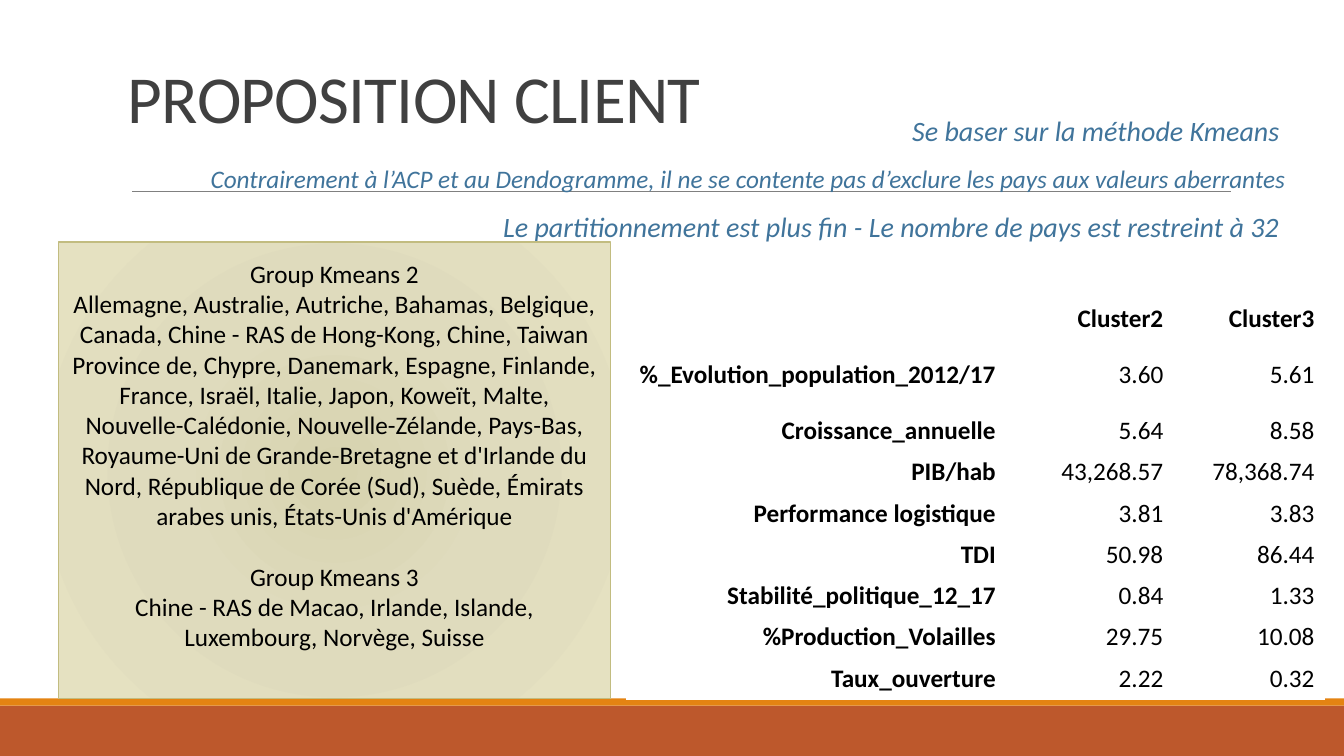
from lxml.etree import SubElement
from pptx import Presentation
from pptx.dml.color import RGBColor
from pptx.enum.shapes import MSO_CONNECTOR, MSO_SHAPE
from pptx.enum.text import MSO_ANCHOR, MSO_AUTO_SIZE, PP_ALIGN
from pptx.oxml import parse_xml
from pptx.oxml.ns import nsdecls, qn
from pptx.util import Cm, Pt

TITLE = "PROPOSITION CLIENT"
ARGUMENTS = [
    ("Se baser sur la méthode Kmeans ", 20),
    ("Contrairement à l’ACP et au Dendogramme, il ne se contente pas "
     "d’exclure les pays aux valeurs aberrantes", 18),
    ("Le partitionnement est plus fin - Le nombre de pays est restreint à 32 ", 20),
]
GROUPS = [
    ("Group Kmeans 2",
     "Allemagne, Australie, Autriche, Bahamas, Belgique, Canada, "
     "Chine - RAS de Hong-Kong, Chine, Taiwan Province de, Chypre, Danemark, "
     "Espagne, Finlande, France, Israël, Italie, Japon, Koweït, Malte, "
     "Nouvelle-Calédonie, Nouvelle-Zélande, Pays-Bas, "
     "Royaume-Uni de Grande-Bretagne et d'Irlande du Nord, "
     "République de Corée (Sud), Suède, Émirats arabes unis, "
     "États-Unis d'Amérique"),
    ("Group Kmeans 3",
     "Chine - RAS de Macao, Irlande, Islande, Luxembourg, Norvège, Suisse"),
]
CLUSTERS = [
    ("", "Cluster2", "Cluster3"),
    ("%_Evolution_population_2012/17", "3.60", "5.61"),
    ("Croissance_annuelle", "5.64", "8.58"),
    ("PIB/hab", "43,268.57", "78,368.74"),
    ("Performance logistique", "3.81", "3.83"),
    ("TDI", "50.98", "86.44"),
    ("Stabilité_politique_12_17", "0.84", "1.33"),
    ("%Production_Volailles", "29.75", "10.08"),
    ("Taux_ouverture", "2.22", "0.32"),
]
COLUMN_WIDTHS = [9.55, 4.22, 3.81]
ROW_HEIGHTS = [1.0, 1.8] + [1.04] * 7

FONT = "Calibri"
WHITE = RGBColor(0xFF, 0xFF, 0xFF)
BLACK = RGBColor(0x00, 0x00, 0x00)
CHARCOAL = RGBColor(0x40, 0x40, 0x40)
GREY = RGBColor(0x80, 0x80, 0x80)
BLUE = RGBColor(0x40, 0x74, 0x9B)
RUST = RGBColor(0xBD, 0x58, 0x2C)
ORANGE = RGBColor(0xE4, 0x83, 0x12)
OLIVE = RGBColor(0xC2, 0xBC, 0x80)
SAND_STOPS = [
    (0, RGBColor(0xD7, 0xD3, 0xAF)),
    (45, RGBColor(0xDF, 0xDB, 0xBD)),
    (100, RGBColor(0xE5, 0xE1, 0xC1)),
]


def set_font(para, size, color, bold=False, italic=False):
    font = para.font
    font.name, font.size, font.bold, font.italic = FONT, Pt(size), bold, italic
    font.color.rgb = color


def add_rectangle(page, left, top, width, height):
    box = page.shapes.add_shape(
        MSO_SHAPE.RECTANGLE, Cm(left), Cm(top), Cm(width), Cm(height))
    box.shadow.inherit = False
    return box


def add_band(page, top, height, color):
    band = add_rectangle(page, 0, top, 33.87, height)
    band.fill.solid()
    band.fill.fore_color.rgb = color
    band.line.fill.background()


def add_rule(page):
    rule = page.shapes.add_connector(
        MSO_CONNECTOR.STRAIGHT, Cm(3.33), Cm(4.83), Cm(31.01), Cm(4.83))
    rule.line.color.rgb = GREY
    rule.line.width = Pt(0.5)
    SubElement(rule._element.spPr, qn("a:effectLst"))


def fill_title(page):
    title = page.shapes.title
    title.left, title.top, title.width, title.height = (
        Cm(2.97), Cm(0.99), Cm(27.94), Cm(2.59))
    frame = title.text_frame
    frame.text = TITLE
    frame.auto_size = MSO_AUTO_SIZE.NONE
    frame.vertical_anchor = MSO_ANCHOR.BOTTOM
    para = frame.paragraphs[0]
    para.alignment = PP_ALIGN.LEFT
    para.line_spacing = 0.85
    set_font(para, 48, CHARCOAL)
    para.runs[0].font._element.set("spc", "-50")


def add_arguments(page):
    box = page.shapes.add_textbox(Cm(2.97), Cm(2.82), Cm(29.44), Cm(8.56))
    frame = box.text_frame
    frame.word_wrap = True
    frame.margin_left = frame.margin_right = 0
    for index, (text, size) in enumerate(ARGUMENTS):
        para = frame.add_paragraph() if index else frame.paragraphs[0]
        para.text = text
        para.alignment = PP_ALIGN.RIGHT
        para.line_spacing = 0.9
        para.space_before = Pt(12 if index else 0)
        para.space_after = Pt(2)
        set_font(para, size, BLUE, italic=True)


def fill_radial(box, stops):
    marks = "".join(
        f'<a:gs pos="{place * 1000}"><a:srgbClr val="{color}"/></a:gs>'
        for place, color in stops)
    box.fill.gradient()
    old = box._element.spPr.find(qn("a:gradFill"))
    new = parse_xml(
        f'<a:gradFill {nsdecls("a")}><a:gsLst>{marks}</a:gsLst>'
        '<a:path path="circle"><a:fillToRect l="100000" t="100000" '
        'r="100000" b="100000"/></a:path></a:gradFill>')
    old.getparent().replace(old, new)


def add_groups(page):
    box = add_rectangle(page, 1.47, 6.1, 13.92, 11.51)
    fill_radial(box, SAND_STOPS)
    box.line.color.rgb = OLIVE
    box.line.width = Pt(1)
    frame = box.text_frame
    frame.word_wrap = True
    frame.vertical_anchor = MSO_ANCHOR.MIDDLE
    frame.margin_bottom = Cm(0.9)
    lines = [line for group in GROUPS for line in group]
    for index, line in enumerate(lines):
        para = frame.add_paragraph() if index else frame.paragraphs[0]
        para.text = line
        para.alignment = PP_ALIGN.CENTER
        if index and index % 2 == 0:
            para.space_before = Pt(22)
        set_font(para, 18, BLACK)


def add_clusters(page):
    table = page.shapes.add_table(
        len(CLUSTERS), len(COLUMN_WIDTHS), Cm(15.8), Cm(7.52),
        Cm(sum(COLUMN_WIDTHS)), Cm(sum(ROW_HEIGHTS))).table
    table.first_row = table.horz_banding = False
    for column, width in zip(table.columns, COLUMN_WIDTHS):
        column.width = Cm(width)
    for row, height in zip(table.rows, ROW_HEIGHTS):
        row.height = Cm(height)
    for row_index, values in enumerate(CLUSTERS):
        for column_index, value in enumerate(values):
            cell = table.cell(row_index, column_index)
            cell.text = value
            cell.fill.solid()
            cell.fill.fore_color.rgb = WHITE
            cell.vertical_anchor = MSO_ANCHOR.MIDDLE
            para = cell.text_frame.paragraphs[0]
            para.alignment = PP_ALIGN.RIGHT
            set_font(para, 18, BLACK, bold=row_index == 0 or column_index == 0)


def main():
    deck = Presentation()
    deck.slide_width, deck.slide_height = Cm(33.87), Cm(19.05)
    page = deck.slides.add_slide(deck.slide_layouts[5])
    add_band(page, 17.78, 1.27, RUST)
    add_band(page, 17.6, 0.18, ORANGE)
    add_rule(page)
    fill_title(page)
    add_arguments(page)
    add_groups(page)
    add_clusters(page)
    deck.save("out.pptx")


if __name__ == "__main__":
    main()
